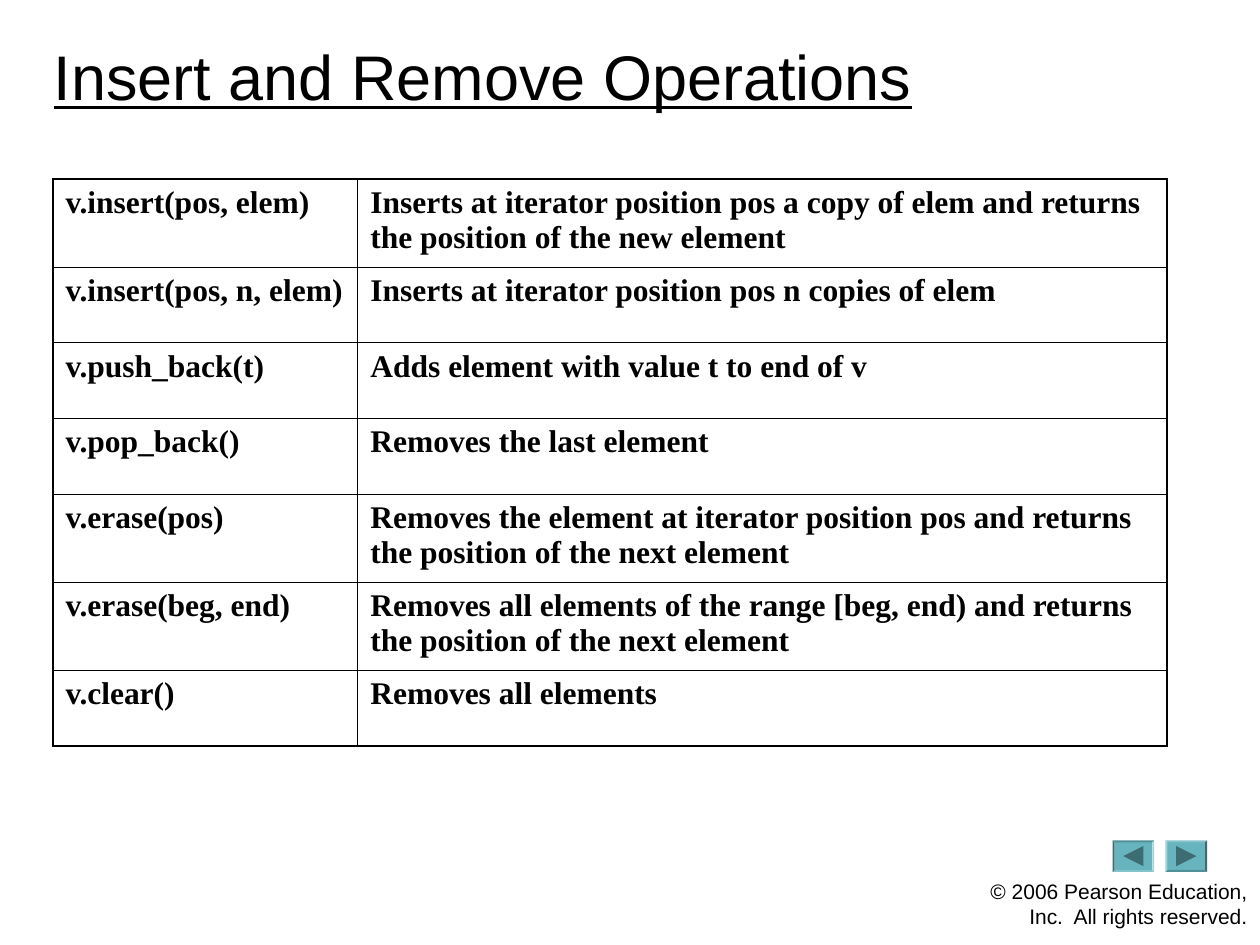
import pptx
import pptx.dml.color
import pptx.enum.shapes
import pptx.enum.text
import pptx.util
from lxml import etree
from pptx.oxml import ns
from pptx.util import Inches

BLACK, WHITE = "000000", "FFFFFF"
BUTTON_COLOR, ARROW_COLOR = "67B4BF", "3E6C73"
OUTER_BORDER, INNER_BORDER = 1.08, 0.45

COLUMN_WIDTHS = [2.42, 6.42]
TALL_ROW, SHORT_ROW = 0.7, 0.6
OPERATIONS = [
    (TALL_ROW, "v.insert(pos, elem)",
     "Inserts at iterator position pos a copy of elem and returns "
     "the position of the new element"),
    (SHORT_ROW, "v.insert(pos, n, elem)",
     "Inserts at iterator position pos n copies of elem"),
    (SHORT_ROW, "v.push_back(t)", "Adds element with value t to end of v"),
    (SHORT_ROW, "v.pop_back()", "Removes the last element"),
    (TALL_ROW, "v.erase(pos)",
     "Removes the element at iterator position pos and returns "
     "the position of the next element"),
    (TALL_ROW, "v.erase(beg, end)",
     "Removes all elements of the range [beg, end) and returns "
     "the position of the next element"),
    (SHORT_ROW, "v.clear()", "Removes all elements"),
]


def color(hex_string):
    return pptx.dml.color.RGBColor.from_string(hex_string)


def fill_shape(shape, hex_string):
    shape.fill.solid()
    shape.fill.fore_color.rgb = color(hex_string)
    shape.line.fill.background()
    shape.shadow.inherit = False


def set_font(paragraph, name, size):
    paragraph.font.name = name
    paragraph.font.size = pptx.util.Pt(size)
    paragraph.font.color.rgb = color(BLACK)


def add_text(slide, left, top, width, height, text, size):
    """Add a wrapping Arial text box and return its paragraph."""
    box = slide.shapes.add_textbox(
        Inches(left), Inches(top), Inches(width), Inches(height))
    box.text_frame.word_wrap = True
    paragraph = box.text_frame.paragraphs[0]
    paragraph.text = text
    set_font(paragraph, "Arial", size)
    return paragraph


def add_title(slide, left, top, width, height):
    paragraph = add_text(slide, left, top, width, height,
                         "Insert and Remove Operations", 36)
    paragraph.font.underline = True


def add_copyright(slide, left, top, width, height):
    paragraph = add_text(
        slide, left, top, width, height,
        "© 2006 Pearson Education, Inc.  All rights reserved.", 12)
    paragraph.alignment = pptx.enum.text.PP_ALIGN.RIGHT


def add_navigation_button(slide, left, top, width, height, forward):
    """Add a bevelled button whose arrow points right, or left if not forward."""
    button = slide.shapes.add_shape(
        pptx.enum.shapes.MSO_SHAPE.BEVEL,
        Inches(left), Inches(top), Inches(width), Inches(height))
    button.adjustments[0] = 0.06
    button.rotation = 0 if forward else 180
    fill_shape(button, BUTTON_COLOR)

    center_x, center_y = left + width / 2, top + height / 2
    reach = 0.08 if forward else -0.08
    builder = slide.shapes.build_freeform(
        Inches(center_x + reach), Inches(center_y))
    builder.add_line_segments([
        (Inches(center_x - reach), Inches(center_y + 0.08)),
        (Inches(center_x - reach), Inches(center_y - 0.08)),
    ])
    fill_shape(builder.convert_to_shape(), ARROW_COLOR)


def set_border(cell, side, width):
    """Draw one border of a cell; side is L, R, T or B."""
    properties = cell._tc.get_or_add_tcPr()
    line = etree.SubElement(properties, ns.qn(f"a:ln{side}"),
                            w=str(int(pptx.util.Pt(width))))
    fill = etree.SubElement(line, ns.qn("a:solidFill"))
    etree.SubElement(fill, ns.qn("a:srgbClr"), val=BLACK)


def add_operations_table(slide, left, top, width, height):
    row_count, column_count = len(OPERATIONS), len(COLUMN_WIDTHS)
    table = slide.shapes.add_table(
        row_count, column_count,
        Inches(left), Inches(top), Inches(width), Inches(height)).table
    table.first_row = table.horz_banding = False
    for column, column_width in zip(table.columns, COLUMN_WIDTHS):
        column.width = Inches(column_width)

    for row_index, (row_height, *texts) in enumerate(OPERATIONS):
        table.rows[row_index].height = Inches(row_height)
        for column_index, text in enumerate(texts):
            cell = table.cell(row_index, column_index)
            on_edge = {
                "L": column_index == 0,
                "R": column_index == column_count - 1,
                "T": row_index == 0,
                "B": row_index == row_count - 1,
            }
            for side, outer in on_edge.items():
                set_border(cell, side, OUTER_BORDER if outer else INNER_BORDER)
            cell.fill.background()
            paragraph = cell.text_frame.paragraphs[0]
            paragraph.text = text
            set_font(paragraph, "Times New Roman", 18)
            paragraph.font.bold = True


def main():
    presentation = pptx.Presentation()
    presentation.slide_width = Inches(10)
    presentation.slide_height = Inches(7.5)
    slide = presentation.slides.add_slide(presentation.slide_layouts[6])
    slide.background.fill.solid()
    slide.background.fill.fore_color.rgb = color(WHITE)

    add_copyright(slide, 7.67, 6.92, 2.33, 0.5)
    add_navigation_button(slide, 9.25, 6.67, 0.33, 0.25, forward=True)
    add_navigation_button(slide, 8.83, 6.67, 0.33, 0.25, forward=False)
    add_title(slide, 0.33, 0.25, 7.5, 0.7)
    add_operations_table(slide, 0.42, 1.42, 8.84, 4.5)
    presentation.save("out.pptx")


if __name__ == "__main__":
    main()
